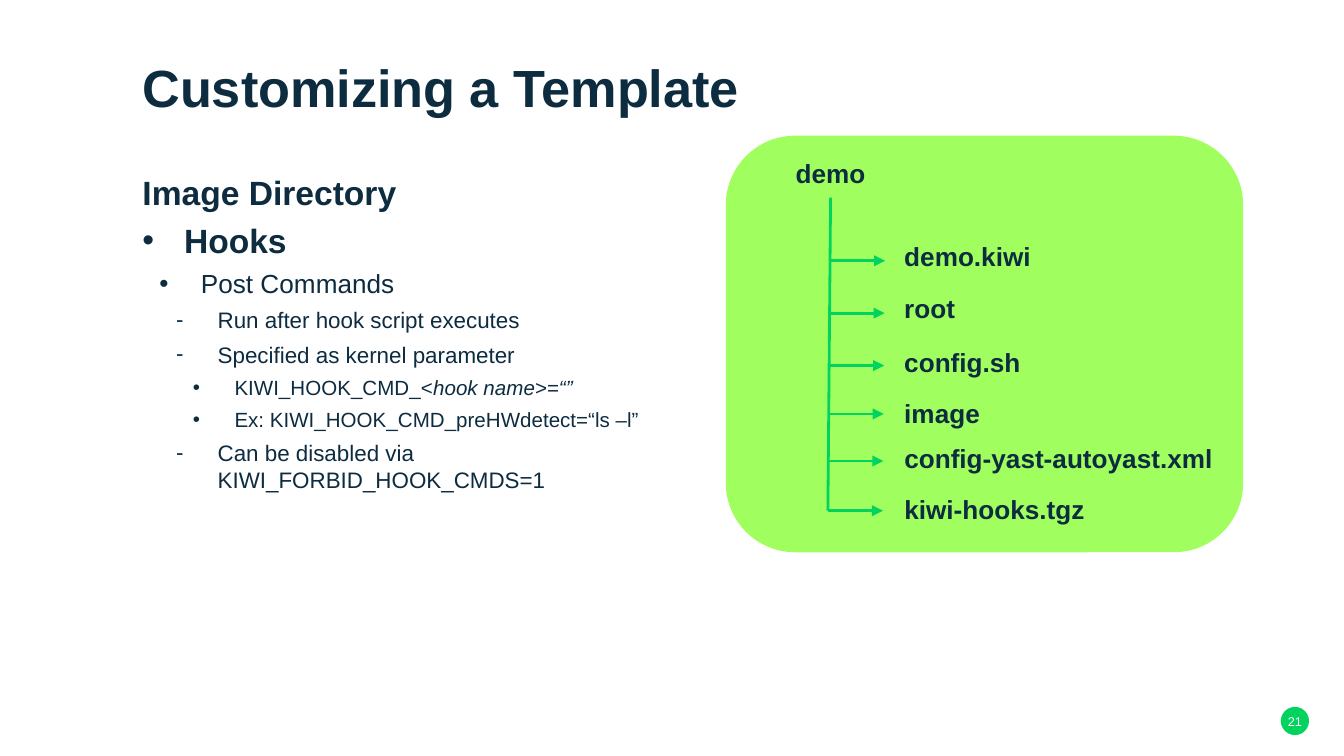
from dataclasses import dataclass

from lxml import etree
from pptx import Presentation
from pptx.dml.color import RGBColor
from pptx.enum.shapes import MSO_CONNECTOR, MSO_SHAPE
from pptx.enum.text import MSO_ANCHOR, MSO_AUTO_SIZE, PP_ALIGN
from pptx.oxml.ns import qn
from pptx.util import Inches, Pt

STRAIGHT = MSO_CONNECTOR.STRAIGHT
ELLIPSE, ROUNDED = MSO_SHAPE.OVAL, MSO_SHAPE.ROUNDED_RECTANGLE
LEFT, CENTER = PP_ALIGN.LEFT, PP_ALIGN.CENTER
TOP, MIDDLE = MSO_ANCHOR.TOP, MSO_ANCHOR.MIDDLE
NO_FIT = MSO_AUTO_SIZE.NONE


@dataclass(frozen=True)
class Theme:
    font: str = "Arial"
    ink: str = "0D2C40"
    green: str = "02D35F"
    lime: str = "A0FF5F"
    white: str = "FFFFFF"
    title: float = 28
    label: float = 14
    page: float = 6.8
    levels: tuple = (18, 14, 12, 11)
    line: float = 1.5


@dataclass(frozen=True)
class Item:
    text: str
    level: int = 0
    bullet: str = ""
    bold: bool = False
    italic_tail: str = ""


@dataclass(frozen=True)
class Branch:
    text: str
    arrow_y: float
    label_top: float
    width: float = 1.33


THEME = Theme()
ITEMS = (
    Item("Image Directory", bold=True),
    Item("Hooks", 0, "•", bold=True),
    Item("Post Commands", 1, "•"),
    Item("Run after hook script executes", 2, "-"),
    Item("Specified as kernel parameter", 2, "-"),
    Item("KIWI_HOOK_CMD_<", 3, "•", italic_tail="hook name>=“”"),
    Item("Ex: KIWI_HOOK_CMD_preHWdetect=“ls –l”", 3, "•"),
    Item("Can be disabled via KIWI_FORBID_HOOK_CMDS=1", 2, "-"),
)
BRANCHES = (
    Branch("demo.kiwi", 1.94, 1.74),
    Branch("root", 2.33, 2.13),
    Branch("config.sh", 2.72, 2.53),
    Branch("image", 3.08, 2.91),
    Branch("config-yast-autoyast.xml", 3.43, 3.24, 2.51),
    Branch("kiwi-hooks.tgz", 3.8, 3.62, 2.51),
)
TRUNK_START, TRUNK_END = (6.18, 1.47), (6.16, 3.8)
BRANCH_LENGTH = 0.41
LABEL_LEFT = 6.63
HANGING = 0.31
LEVEL_STEP = 1 / 8


def place(shape, left: float, top: float, width: float, height: float) -> None:
    shape.left, shape.top = Inches(left), Inches(top)
    shape.width, shape.height = Inches(width), Inches(height)


def add_run(paragraph, text: str, *, size: float, color: str = THEME.ink,
            bold: bool = False, italic: bool = False) -> None:
    run = paragraph.add_run()
    run.text = text
    run.font.name = THEME.font
    run.font.size = Pt(size)
    run.font.bold, run.font.italic = bold, italic
    run.font.color.rgb = RGBColor.from_string(color)


def write(shape, text: str, *, size: float, color: str = THEME.ink, bold: bool = True,
          align=LEFT, anchor=TOP, wrap: bool = True):
    frame = shape.text_frame
    frame.auto_size, frame.word_wrap, frame.vertical_anchor = NO_FIT, wrap, anchor
    paragraph = frame.paragraphs[0]
    paragraph.alignment = align
    add_run(paragraph, text, size=size, color=color, bold=bold)
    return paragraph


def add_block(slide, kind, box: tuple, color: str):
    shape = slide.shapes.add_shape(kind, *map(Inches, box))
    shape.shadow.inherit = False
    shape.fill.solid()
    shape.fill.fore_color.rgb = RGBColor.from_string(color)
    shape.line.fill.background()
    return shape


def add_label(slide, text: str, box: tuple, align=LEFT) -> None:
    label = slide.shapes.add_textbox(*map(Inches, box))
    write(label, text, size=THEME.label, align=align)


def add_line(slide, start: tuple, end: tuple, arrow: bool = False) -> None:
    line = slide.shapes.add_connector(STRAIGHT, *map(Inches, start + end))
    line.line.color.rgb = RGBColor.from_string(THEME.green)
    line.line.width = Pt(THEME.line)
    if arrow:
        outline = line._element.spPr.find(qn("a:ln"))
        etree.SubElement(outline, qn("a:tailEnd"), type="triangle")
    etree.SubElement(line._element.spPr, qn("a:effectLst"))


def set_bullet(paragraph, item: Item) -> None:
    properties = paragraph._p.get_or_add_pPr()
    if item.bullet:
        margin = HANGING + item.level * LEVEL_STEP
        properties.set("marL", str(Inches(margin)))
        properties.set("indent", str(-Inches(HANGING)))
        etree.SubElement(properties, qn("a:buFont"), typeface=THEME.font)
        etree.SubElement(properties, qn("a:buChar"), char=item.bullet)
    else:
        properties.set("marL", "0")
        properties.set("indent", "0")
        etree.SubElement(properties, qn("a:buNone"))


def fill_body(body) -> None:
    place(body, 0.96, 1.23, 4.38, 4.14)
    frame = body.text_frame
    frame.auto_size, frame.word_wrap, frame.vertical_anchor = NO_FIT, True, TOP
    for index, item in enumerate(ITEMS):
        paragraph = frame.add_paragraph() if index else frame.paragraphs[0]
        paragraph.level = item.level
        paragraph.alignment = LEFT
        paragraph.line_spacing = 1.0
        paragraph.space_before, paragraph.space_after = Pt(0), Pt(4)
        set_bullet(paragraph, item)
        size = THEME.levels[item.level]
        add_run(paragraph, item.text, size=size, bold=item.bold)
        if item.italic_tail:
            add_run(paragraph, item.italic_tail, size=size, italic=True)


def draw_tree(slide) -> None:
    add_block(slide, ROUNDED, (5.4, 1.01, 3.85, 3.1), THEME.lime)
    add_label(slide, "demo", (5.7, 1.12, 0.96, 0.35), CENTER)
    add_line(slide, TRUNK_START, TRUNK_END)
    (start_x, start_y), (end_x, end_y) = TRUNK_START, TRUNK_END
    for branch in BRANCHES:
        share = (branch.arrow_y - start_y) / (end_y - start_y)
        x = start_x + share * (end_x - start_x)
        add_line(slide, (x, branch.arrow_y), (x + BRANCH_LENGTH, branch.arrow_y), arrow=True)
        add_label(slide, branch.text, (LABEL_LEFT, branch.label_top, branch.width, 0.34))


def draw_page_number(slide) -> None:
    badge = add_block(slide, ELLIPSE, (9.53, 5.26, 0.21, 0.21), THEME.green)
    frame = badge.text_frame
    frame.margin_left = frame.margin_right = frame.margin_top = frame.margin_bottom = 0
    write(badge, "21", size=THEME.page, color=THEME.white, bold=False,
          align=CENTER, anchor=MIDDLE, wrap=False)


def main() -> None:
    presentation = Presentation()
    presentation.slide_width = Inches(10)
    presentation.slide_height = Inches(10 * 9 / 16)
    slide = presentation.slides.add_slide(presentation.slide_layouts[1])
    title, body = slide.placeholders
    place(title, 0.96, 0.38, 8.71, 0.64)
    heading = write(title, "Customizing a Template", size=THEME.title, anchor=MIDDLE)
    heading.line_spacing = Pt(25.2)
    fill_body(body)
    draw_tree(slide)
    draw_page_number(slide)
    presentation.save("out.pptx")


if __name__ == "__main__":
    main()
